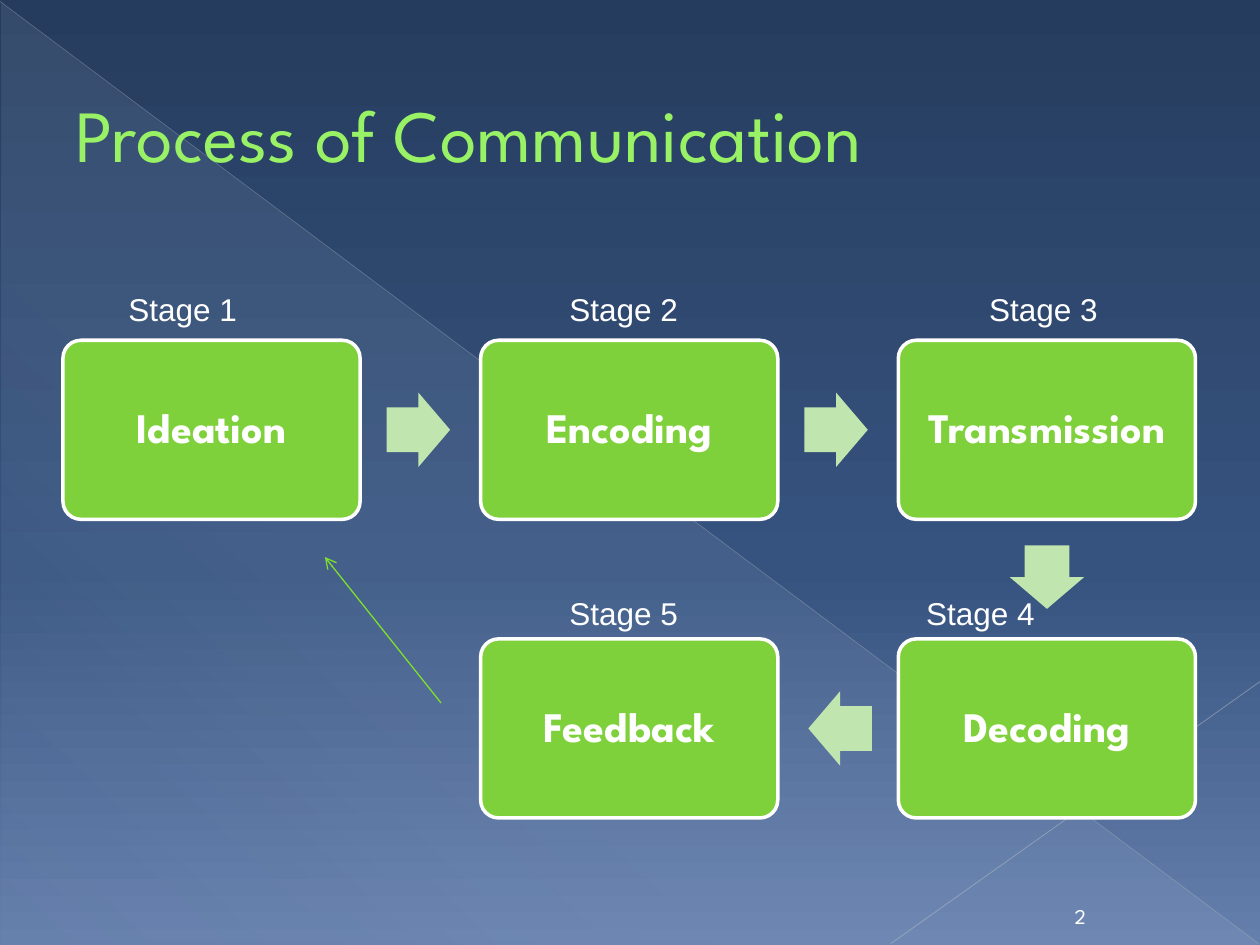
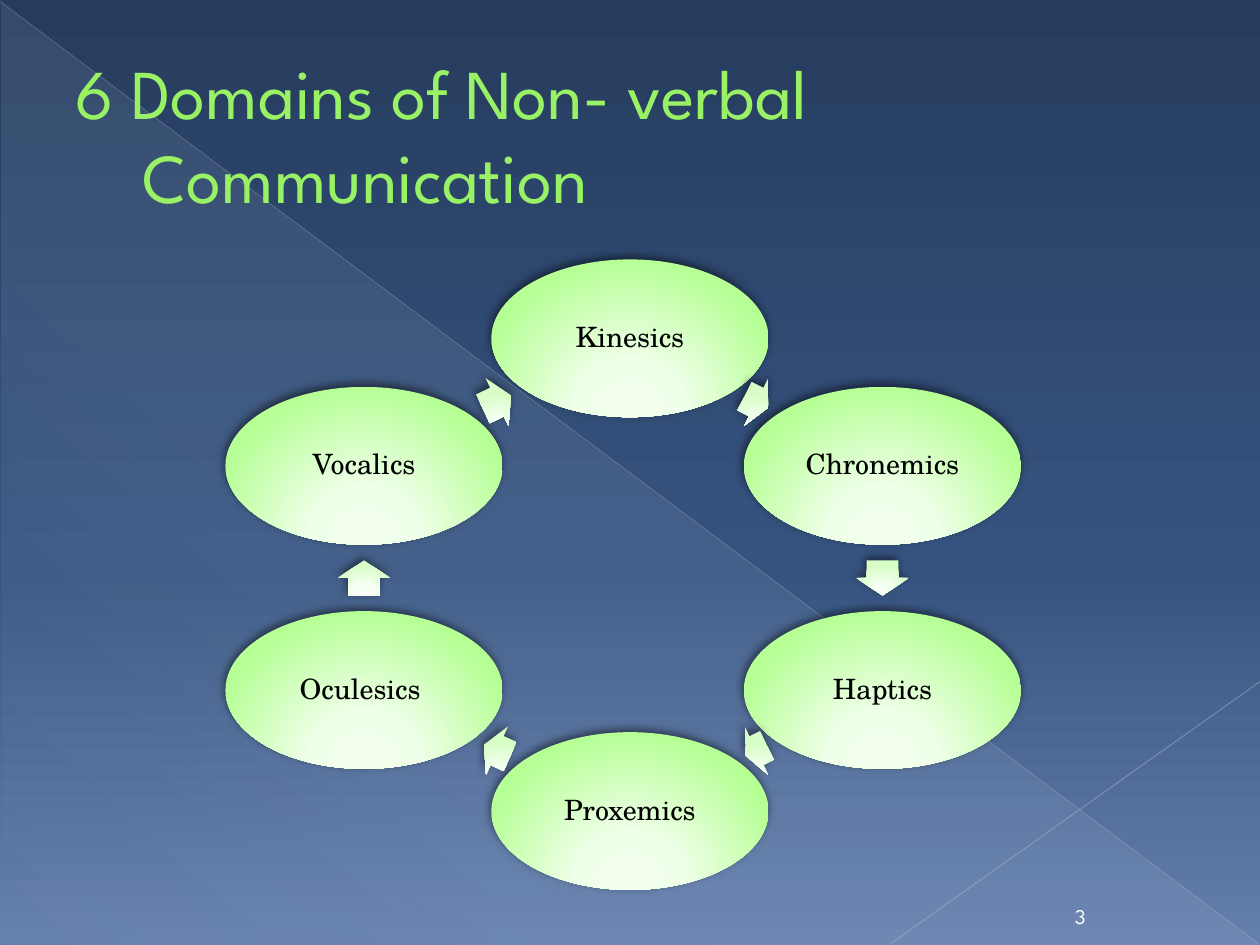
from itertools import pairwise
from math import atan2, cos, degrees, radians, sin

from lxml.etree import SubElement
from pptx import Presentation
from pptx.dml.color import RGBColor
from pptx.enum.shapes import MSO_CONNECTOR as CONNECTOR, MSO_SHAPE as SHAPE
from pptx.enum.text import MSO_ANCHOR as ANCHOR, MSO_AUTO_SIZE as AUTO_SIZE, PP_ALIGN as ALIGN
from pptx.oxml.ns import qn
from pptx.util import Cm, Pt

# Shared look
SLIDE_SIZE = (25.4, 19.05)
HEADING_FONT = "League Spartan"
BACKGROUND = [(0, "263C5E"), (60, "36537F"), (100, "657FAC")]
SHEEN = [(0, "D6ECFF", 10), (70, "D6ECFF", 8), (100, "D6ECFF", 1)]
TITLE_FORMAT = {"name": HEADING_FONT, "color": "99F166"}
NUMBER_FORMAT = {"name": HEADING_FONT, "size": 12, "color": "FFFFFF"}

# Process slide: boxes on a grid of three columns and two rows
STAGE_FORMAT = {"name": HEADING_FONT, "size": 24, "bold": True, "color": "FFFFFF"}
LABEL_FORMAT = {"name": "Arial", "size": 18, "color": "FFFFFF"}
BOX_SIZE = (5.99, 3.61)
BOX_ORIGIN = (1.27, 6.86)
BOX_PITCH = (8.42, 6.02)
LABEL_TOPS = (5.72, 11.86)
STAGES = [  # word, column, row, left of its label
    ("Ideation", 0, 0, 2.34),
    ("Encoding", 1, 0, 11.23),
    ("Transmission", 2, 0, 19.69),
    ("Decoding", 2, 1, 18.42),
    ("Feedback", 1, 1, 11.23),
]

# Domains slide: ellipses in a ring
DOMAIN_FORMAT = {"name": "TeX Gyre Schola", "size": 16, "color": "000000"}
ELLIPSE_SIZE = (5.59, 3.18)
ELLIPSE_GLOW = [(0, "F4FFF0"), (34, "F0FFEA"), (100, "B6FF95")]
ARROW_GLOW = [(0, "F9FFF6"), (34, "F6FFF3"), (100, "D6FEC6")]
DOMAINS = [  # word, centre, length of the arrow to the next
    ("Kinesics", (12.7, 6.82), 0.53),
    ("Chronemics", (17.79, 9.39), 0.71),
    ("Haptics", (17.79, 13.91), 0.48),
    ("Proxemics", (12.7, 16.35), 0.58),
    ("Oculesics ", (7.34, 13.91), 0.71),
    ("Vocalics", (7.34, 9.39), 0.63),
]


def rgb(value):
    return RGBColor.from_string(value)


def add_color(parent, value, opacity=100):
    color = SubElement(parent, qn("a:srgbClr"), val=value)
    if opacity < 100:
        SubElement(color, qn("a:alpha"), val=str(opacity * 1000))


def set_gradient(properties, fill, stops, angle=None):
    """Linear gradient at an angle, or a glow from below when there is none."""
    fill.solid()
    solid = properties.find(qn("a:solidFill"))
    gradient = properties.makeelement(qn("a:gradFill"), {"rotWithShape": "1"})
    stop_list = SubElement(gradient, qn("a:gsLst"))
    for position, *color in stops:
        add_color(SubElement(stop_list, qn("a:gs"), pos=str(position * 1000)), *color)
    if angle is None:
        glow = SubElement(gradient, qn("a:path"), {"path": "circle"})
        SubElement(glow, qn("a:fillToRect"), l="50000", t="155000", r="50000", b="-55000")
    else:
        SubElement(gradient, qn("a:lin"), ang=str(angle * 60000), scaled="0")
    properties.replace(solid, gradient)


def set_font(font, values):
    for key, value in values.items():
        if key == "color":
            font.color.rgb = rgb(value)
        else:
            setattr(font, key, Pt(value) if key == "size" else value)


def write_text(shape, text, font_format, align=ALIGN.CENTER, anchor=ANCHOR.MIDDLE,
               margin=None, spacing=None):
    frame = shape.text_frame
    frame.word_wrap = True
    frame.vertical_anchor = anchor
    if margin is not None:
        for side in ("left", "top", "right", "bottom"):
            setattr(frame, f"margin_{side}", Cm(margin))
    paragraph = frame.paragraphs[0]
    paragraph.alignment = align
    paragraph.line_spacing = spacing
    run = paragraph.add_run()
    run.text = text
    set_font(run.font, font_format)
    return paragraph


def add_text(slide, text, bounds, font_format, **options):
    box = slide.shapes.add_textbox(*map(Cm, bounds))
    write_text(box, text, font_format, **options)


def add_plain_shape(slide, kind, bounds, fill=None):
    shape = slide.shapes.add_shape(kind, *map(Cm, bounds))
    shape.shadow.inherit = False
    shape.line.fill.background()
    if fill:
        shape.fill.solid()
        shape.fill.fore_color.rgb = rgb(fill)
    return shape


def add_line(slide, start, end, color, width, opacity=100, arrow=False):
    line = slide.shapes.add_connector(CONNECTOR.STRAIGHT, *map(Cm, start + end))
    line.line.width = Pt(width)
    line.line.color.rgb = rgb(color)
    properties = line.element.spPr
    outline = properties.find(qn("a:ln"))
    if opacity < 100:
        color_element = outline.find(".//" + qn("a:srgbClr"))
        SubElement(color_element, qn("a:alpha"), val=str(opacity * 1000))
    if arrow:
        SubElement(outline, qn("a:tailEnd"), type="arrow")
    SubElement(properties, qn("a:effectLst"))
    return line


def add_block_arrow(slide, start, end, size, fill=None, setback=0):
    """Block arrow halfway between two centres, turned towards the second."""
    angle = atan2(end[1] - start[1], end[0] - start[0])
    x = (start[0] + end[0]) / 2 - setback * cos(angle)
    y = (start[1] + end[1]) / 2 - setback * sin(angle)
    length, height = size
    bounds = (x - length / 2, y - height / 2, length, height)
    arrow = add_plain_shape(slide, SHAPE.RIGHT_ARROW, bounds, fill)
    arrow.adjustments[0], arrow.adjustments[1] = 0.6, 0.5
    arrow.rotation = degrees(angle) % 360
    return arrow


def add_glow(shape, stops):
    properties = shape.element.spPr
    set_gradient(properties, shape.fill, stops)
    shadow = SubElement(
        properties.find(qn("a:effectLst")), qn("a:outerShdw"),
        blurRad=str(Pt(5)), dist=str(Pt(2)), dir=str(245 * 60000), rotWithShape="0")
    add_color(shadow, "000000", 50)


def add_backdrop(slide):
    """Draw the backdrop and hand it to the layout, so every slide shows it."""
    layout = slide.slide_layout
    fill = layout.background.fill
    set_gradient(layout.element.find(".//" + qn("p:bgPr")), fill, BACKGROUND, 90)
    triangle = add_plain_shape(slide, SHAPE.RIGHT_TRIANGLE, (0.03, 0.05, 25.37, 19))
    set_gradient(triangle.element.spPr, triangle.fill, SHEEN, 133)
    falling = add_line(slide, (0, 0.03), (25.37, 19.02), "B7BCC5", 0.39, 35)
    rising = add_line(slide, (25.4, 13.74), (17.96, 19.02), "BFC3CB", 0.47, 45)
    for index, shape in enumerate((triangle, falling, rising), start=2):
        layout.shapes.element.insert(index, shape.element)


def add_title(slide, text, size):
    title = slide.shapes.title
    bounds = {"left": 1.27, "top": 0.74, "width": 22.86, "height": 3.89}
    for side, value in bounds.items():
        setattr(title, side, Cm(value))
    title.text_frame.auto_size = AUTO_SIZE.NONE
    paragraph = write_text(title, text, TITLE_FORMAT | {"size": size}, ALIGN.LEFT)
    # Hanging indent and a thin outline on the letters
    indent = Cm(1.35)
    properties = paragraph.runs[0].font.fill and paragraph._p.get_or_add_pPr()
    properties.set("marL", str(indent))
    properties.set("indent", str(-indent))
    run_properties = paragraph.runs[0]._r.get_or_add_rPr()
    outline = run_properties.makeelement(qn("a:ln"), {"w": str(Pt(0.5))})
    add_color(SubElement(outline, qn("a:solidFill")), "589129")
    run_properties.insert(0, outline)


def add_slide(presentation, title, title_size, number):
    slide = presentation.slides.add_slide(presentation.slide_layouts[5])
    add_title(slide, title, title_size)
    add_text(slide, str(number), (21.08, 18.01, 1.4, 0.84), NUMBER_FORMAT,
             anchor=ANCHOR.BOTTOM)
    return slide


def add_stage_box(slide, word, left, top):
    box = add_plain_shape(slide, SHAPE.ROUNDED_RECTANGLE, (left, top, *BOX_SIZE), "7FD13B")
    box.adjustments[0] = 0.1
    box.line.color.rgb = rgb("FFFFFF")
    box.line.width = Pt(2)
    write_text(box, word, STAGE_FORMAT, margin=0.25, spacing=0.9)


def fill_process(slide):
    centres = []
    for number, (word, column, row, label_left) in enumerate(STAGES, start=1):
        left = BOX_ORIGIN[0] + column * BOX_PITCH[0]
        top = BOX_ORIGIN[1] + row * BOX_PITCH[1]
        add_stage_box(slide, word, left, top)
        add_text(slide, f"Stage {number}", (label_left, LABEL_TOPS[row], 3.2, 1.02),
                 LABEL_FORMAT, align=ALIGN.LEFT, anchor=ANCHOR.TOP)
        centres.append((left + BOX_SIZE[0] / 2, top + BOX_SIZE[1] / 2))
    for start, end in pairwise(centres):
        add_block_arrow(slide, start, end, (1.28, 1.5), "C0E5AF", setback=0.04)
    # Feedback leads back to ideation
    add_line(slide, (8.89, 14.17), (6.55, 11.23), "7EE02C", 0.75, arrow=True)


def fill_domains(slide):
    width, height = ELLIPSE_SIZE
    following = DOMAINS[1:] + DOMAINS[:1]
    for (word, centre, length), (_, next_centre, _) in zip(DOMAINS, following):
        x, y = centre
        bounds = (x - width / 2, y - height / 2, width, height)
        ellipse = add_plain_shape(slide, SHAPE.OVAL, bounds)
        add_glow(ellipse, ELLIPSE_GLOW)
        write_text(ellipse, word, DOMAIN_FORMAT, margin=0.05, spacing=0.9)
    # Arrows lie over the ellipses they join
        arrow = add_block_arrow(slide, centre, next_centre, (length, 1.07))
        add_glow(arrow, ARROW_GLOW)


def main():
    presentation = Presentation()
    presentation.slide_width, presentation.slide_height = map(Cm, SLIDE_SIZE)

    process = add_slide(presentation, "Process of Communication", 42, 2)
    add_backdrop(process)
    fill_process(process)

    domains = add_slide(presentation, "6 Domains of Non- verbal Communication", 40, 3)
    fill_domains(domains)

    presentation.save("out.pptx")


if __name__ == "__main__":
    main()
